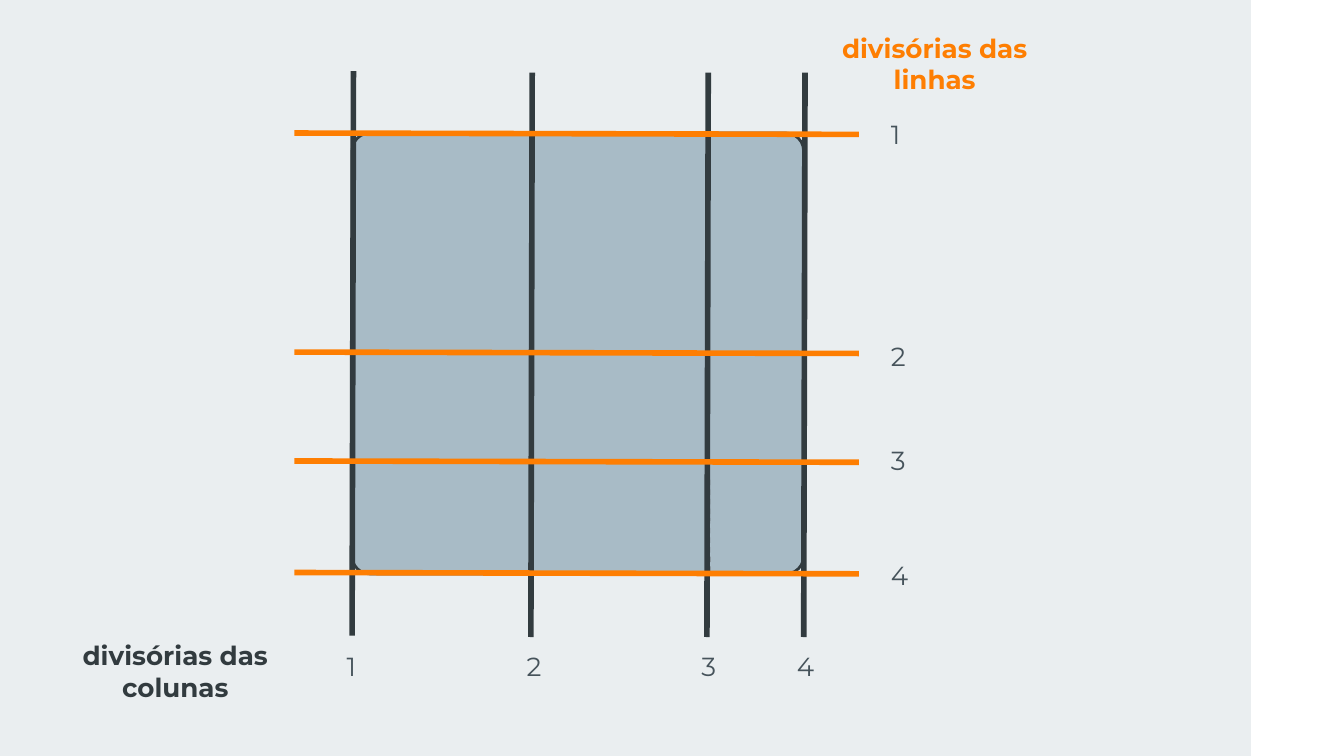
import pptx
import pptx.util
import pptx.dml.color
import pptx.enum.dml
import pptx.enum.shapes
import pptx.enum.text
import pptx.oxml.ns
import lxml.etree

Inches = pptx.util.Inches
Pt = pptx.util.Pt
SHAPE = pptx.enum.shapes.MSO_SHAPE
ALIGN = pptx.enum.text.PP_ALIGN

WIDTH = 10
HEIGHT = WIDTH * 9 / 16

COLORS = {
    "background": "EAEEF0",
    "band": "FFFFFF",
    "grid": "A8BBC6",
    "dark": "323B3F",
    "track": "595959",
    "orange": "FE7E02",
    "number": "46535B",
}


class GridSlide:
    font = "Montserrat"
    size = 14
    inset = 0.1

    def __init__(self, prs):
        self.s = prs.slides.add_slide(prs.slide_layouts[6])
        fill = self.s.background.fill
        fill.solid()
        fill.fore_color.rgb = self.color("background")

    def color(self, name):
        return pptx.dml.color.RGBColor.from_string(COLORS[name])

    def box(self, kind, left, top, width, height, fill, line=None, weight=1.5):
        sp = self.s.shapes.add_shape(
            kind, Inches(left), Inches(top), Inches(width), Inches(height))
        sp.shadow.inherit = False
        sp.fill.solid()
        sp.fill.fore_color.rgb = self.color(fill)
        if line:
            sp.line.color.rgb = self.color(line)
            sp.line.width = Pt(weight)
        else:
            sp.line.fill.background()
        return sp

    def line(self, x1, y1, x2, y2, color, weight=3, dashed=False):
        sp = self.s.shapes.add_connector(
            pptx.enum.shapes.MSO_CONNECTOR.STRAIGHT,
            Inches(x1), Inches(y1), Inches(x2), Inches(y2))
        sp.line.color.rgb = self.color(color)
        sp.line.width = Pt(weight)
        if dashed:
            sp.line.dash_style = pptx.enum.dml.MSO_LINE.DASH
        lxml.etree.SubElement(sp._element.spPr, pptx.oxml.ns.qn("a:effectLst"))

    def text(self, text, left, top, width, height, color, bold=False, align=ALIGN.LEFT):
        sp = self.s.shapes.add_textbox(
            Inches(left), Inches(top), Inches(width), Inches(height))
        tf = sp.text_frame
        tf.word_wrap = True
        tf.auto_size = pptx.enum.text.MSO_AUTO_SIZE.SHAPE_TO_FIT_TEXT
        tf.margin_left = tf.margin_right = Inches(self.inset)
        tf.margin_top = tf.margin_bottom = Inches(self.inset)
        p = tf.paragraphs[0]
        p.alignment = align
        r = p.add_run()
        r.text = text
        r.font.name = self.font
        r.font.size = Pt(self.size)
        r.font.bold = bold
        r.font.color.rgb = self.color(color)

    def title(self, text, left, top, width, color):
        self.text(text, left, top, width, 0.67, color, True, ALIGN.CENTER)

    def number(self, value, left, top):
        self.text(str(value), left, top, 0.29, 0.44, "number")


def main():
    prs = pptx.Presentation()
    prs.slide_width = Inches(WIDTH)
    prs.slide_height = Inches(HEIGHT)
    slide = GridSlide(prs)

    slide.box(SHAPE.RECTANGLE, 9.31, 0, 0.69, HEIGHT, "band")
    grid = slide.box(SHAPE.ROUNDED_RECTANGLE, 2.62, 0.99, 3.36, 3.28, "grid", "dark")
    grid.adjustments[0] = 0.04

    for x1, x2, bottom in [(3.94, 3.94, 4.3), (5.27, 5.28, 4.28)]:
        slide.line(x1, 0.99, x2, bottom, "track", 0.75, True)
    for y in (2.63, 3.43):
        slide.line(5.99, y, 2.62, y, "track", 0.75, True)

    columns = [(2.63, 0.53, 2.48), (3.96, 0.54, 3.82), (5.27, 0.54, 5.12), (5.99, 0.54, 5.83)]
    rows = [(1, 0.78), (2.63, 2.43), (3.44, 3.21), (4.27, 4.06)]
    for x, top, label in columns:
        slide.line(x, top, x - 0.01, top + 4.2, "dark")
    for y, label in rows:
        slide.line(6.39, y, 2.19, y - 0.01, "orange")

    slide.title("divisórias das colunas", 0.51, 4.66, 1.59, "dark")
    for i, (x, top, label) in enumerate(columns, 1):
        slide.number(i, label, 4.74)
    for i, (y, label) in enumerate(rows, 1):
        slide.number(i, 6.53, label)
    slide.title("divisórias das linhas", 6.02, 0.14, 1.87, "orange")

    prs.save("out.pptx")


if __name__ == "__main__":
    main()
